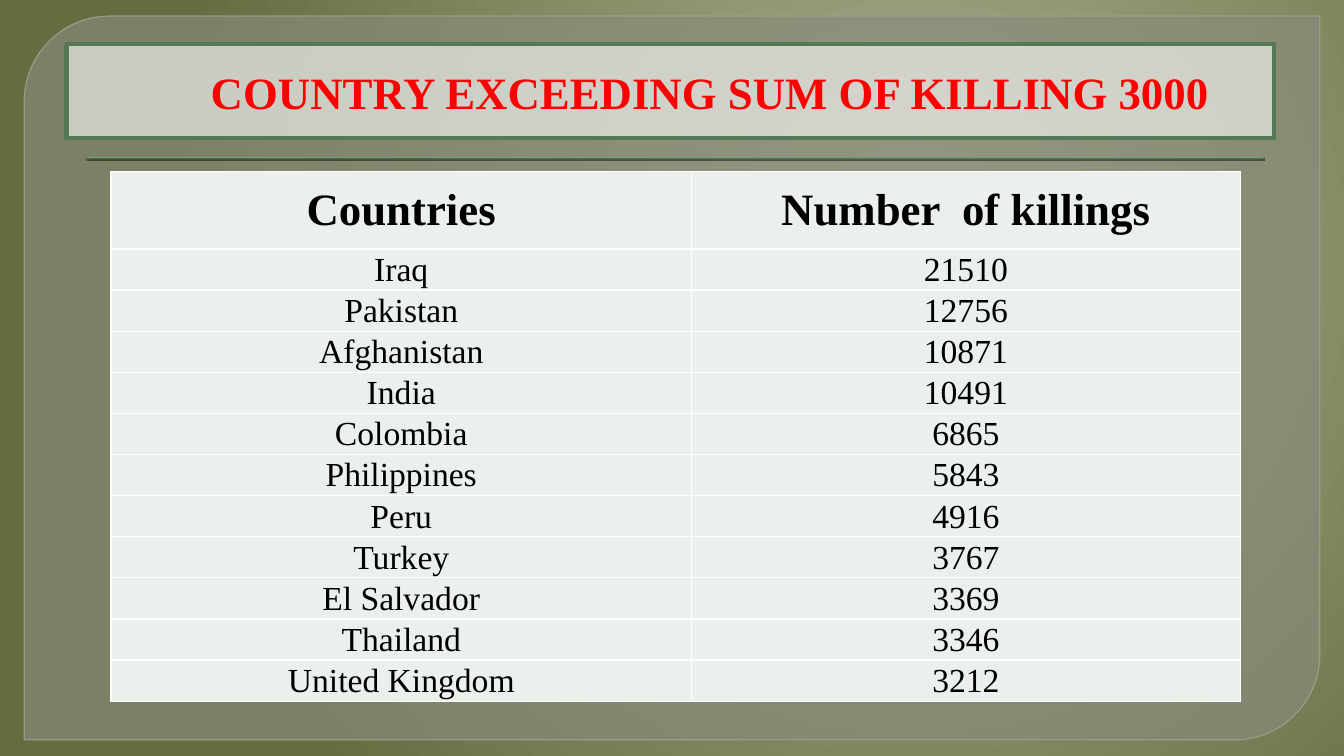
from lxml.etree import SubElement
from pptx import Presentation
from pptx.dml.color import RGBColor
from pptx.enum.shapes import MSO_SHAPE as SHAPE
from pptx.enum.text import MSO_ANCHOR as ANCHOR, MSO_AUTO_SIZE as AUTO_SIZE, PP_ALIGN as ALIGN
from pptx.oxml import parse_xml
from pptx.oxml.ns import nsdecls, qn
from pptx.util import Inches, Pt

FONT = "Times New Roman"
COLORS = {
    "bg_light": "A9AE8D", "bg_mid": "9FA583", "bg_dark": "666C40",
    "panel": "888B7B", "panel_line": "9DA090", "rule": "72A376",
    "shadow": "000000", "title_fill": "FFFFFF", "title_line": "547957",
    "title": "FF0000", "cell": "EBF0EC", "border": "FFFFFF", "text": "000000",
}
TITLE = "COUNTRY EXCEEDING SUM OF KILLING 3000"
HEADER = ("Countries", "Number  of killings")
KILLINGS = [
    ("Iraq", 21510), ("Pakistan", 12756), ("Afghanistan", 10871),
    ("India", 10491), ("Colombia", 6865), ("Philippines", 5843),
    ("Peru", 4916), ("Turkey", 3767), ("El Salvador", 3369),
    ("Thailand", 3346), ("United Kingdom", 3212),
]


def rgb(name):
    return RGBColor.from_string(COLORS[name])


def set_fill(sp, name, alpha=100):
    sp.fill.solid()
    sp.fill.fore_color.rgb = rgb(name)
    set_alpha(sp.fill, sp.element.spPr.find(qn("a:solidFill")), alpha)


def set_line(sp, name, width, alpha=100):
    sp.line.color.rgb = rgb(name)
    sp.line.width = Pt(width)
    set_alpha(sp.line, sp.element.spPr.find(qn("a:ln")).find(qn("a:solidFill")), alpha)


def set_alpha(owner, solid, alpha):
    if alpha < 100:
        SubElement(solid[0], qn("a:alpha"), val=str(alpha * 1000))


def format_run(r, size, color, bold):
    r.font.name = FONT
    r.font.size = Pt(size)
    r.font.bold = bold
    r.font.color.rgb = rgb(color)


def add_background(slide):
    """Radial gradient, lightest right of centre."""
    stops = "".join(
        f'<a:gs pos="{pos * 1000}"><a:srgbClr val="{COLORS[name]}"/></a:gs>'
        for pos, name in ((0, "bg_light"), (20, "bg_mid"), (100, "bg_dark")))
    bg = parse_xml(
        f'<p:bg {nsdecls("p", "a")}><p:bgPr><a:gradFill rotWithShape="1">'
        f'<a:gsLst>{stops}</a:gsLst><a:path path="circle">'
        '<a:fillToRect l="68000" t="35000" r="32000" b="65000"/></a:path>'
        '</a:gradFill><a:effectLst/></p:bgPr></p:bg>')
    slide.element.find(qn("p:cSld")).insert(0, bg)


def add_panel(slide, x, y, w, h):
    sp = slide.shapes.add_shape(SHAPE.ROUND_2_DIAG_RECTANGLE,
                                Inches(x), Inches(y), Inches(w), Inches(h))
    sp.adjustments[0] = 0.118
    sp.adjustments[1] = 0
    sp.shadow.inherit = False
    set_fill(sp, "panel", 65)
    set_line(sp, "panel_line", 0.87, 88)


def add_rule(slide, x, y, w, h):
    """Thin bar with a dark shadow below it."""
    sp = slide.shapes.add_shape(SHAPE.RECTANGLE,
                                Inches(x), Inches(y), Inches(w), Inches(h))
    sp.shadow.inherit = False
    set_fill(sp, "rule")
    sp.line.fill.background()
    effects = sp.element.spPr.find(qn("a:effectLst"))
    shadow = SubElement(effects, qn("a:outerShdw"), blurRad=str(Pt(1)),
                        dist=str(Pt(1)), dir="5400000", rotWithShape="0")
    color = SubElement(shadow, qn("a:srgbClr"), val=COLORS["shadow"])
    SubElement(color, qn("a:alpha"), val="75000")


def add_title(slide, x, y, w, h):
    sp = slide.shapes.title
    sp.left, sp.top, sp.width, sp.height = (Inches(v) for v in (x, y, w, h))
    set_fill(sp, "title_fill", 60)
    set_line(sp, "title_line", 3)
    tf = sp.text_frame
    tf.text = TITLE
    tf.word_wrap = True
    tf.auto_size = AUTO_SIZE.NONE
    tf.vertical_anchor = ANCHOR.MIDDLE
    tf.margin_left = Inches(1.43)
    p = tf.paragraphs[0]
    p.alignment = ALIGN.LEFT
    format_run(p.runs[0], 32, "title", True)
    slide.shapes.element.append(sp.element)  # bring in front of the panel


def add_borders(cell):
    tc_pr = cell.fill and cell._tc.get_or_add_tcPr()
    for i, side in enumerate(("lnL", "lnR", "lnT", "lnB")):
        tc_pr.insert(i, parse_xml(
            f'<a:{side} {nsdecls("a")} w="{Pt(1)}"><a:solidFill>'
            f'<a:srgbClr val="{COLORS["border"]}"/></a:solidFill></a:{side}>'))


def fill_cell(cell, text, size, bold):
    cell.fill.solid()
    cell.fill.fore_color.rgb = rgb("cell")
    cell.vertical_anchor = ANCHOR.MIDDLE
    cell.margin_left = cell.margin_right = cell.margin_top = Inches(0.01)
    cell.margin_bottom = 0
    p = cell.text_frame.paragraphs[0]
    p.text = text
    p.alignment = ALIGN.CENTER
    format_run(p.runs[0], size, "text", bold)
    add_borders(cell)


def add_killings_table(slide, x, y, w, h, first_col=5.76, header_h=0.77):
    rows = [HEADER, *KILLINGS]
    table = slide.shapes.add_table(len(rows), len(HEADER), Inches(x), Inches(y),
                                   Inches(w), Inches(h)).table
    table.columns[0].width = Inches(first_col)
    table.columns[1].width = Inches(w - first_col)
    for i, row in enumerate(rows):
        is_header = i == 0
        table.rows[i].height = Inches(header_h if is_header
                                      else (h - header_h) / len(KILLINGS))
        for j, value in enumerate(row):
            fill_cell(table.cell(i, j), str(value), 32 if is_header else 24, is_header)


def main():
    prs = Presentation()
    prs.slide_width, prs.slide_height = Inches(13.33), Inches(7.5)
    slide = prs.slides.add_slide(prs.slide_layouts[5])
    add_background(slide)
    add_panel(slide, 0.24, 0.16, 12.85, 7.18)
    add_rule(slide, 0.86, 1.56, 11.67, 0.01)
    add_killings_table(slide, 1.1, 1.7, 11.2, 5.26)
    add_title(slide, 0.66, 0.44, 11.98, 0.93)
    prs.save("out.pptx")


if __name__ == "__main__":
    main()
